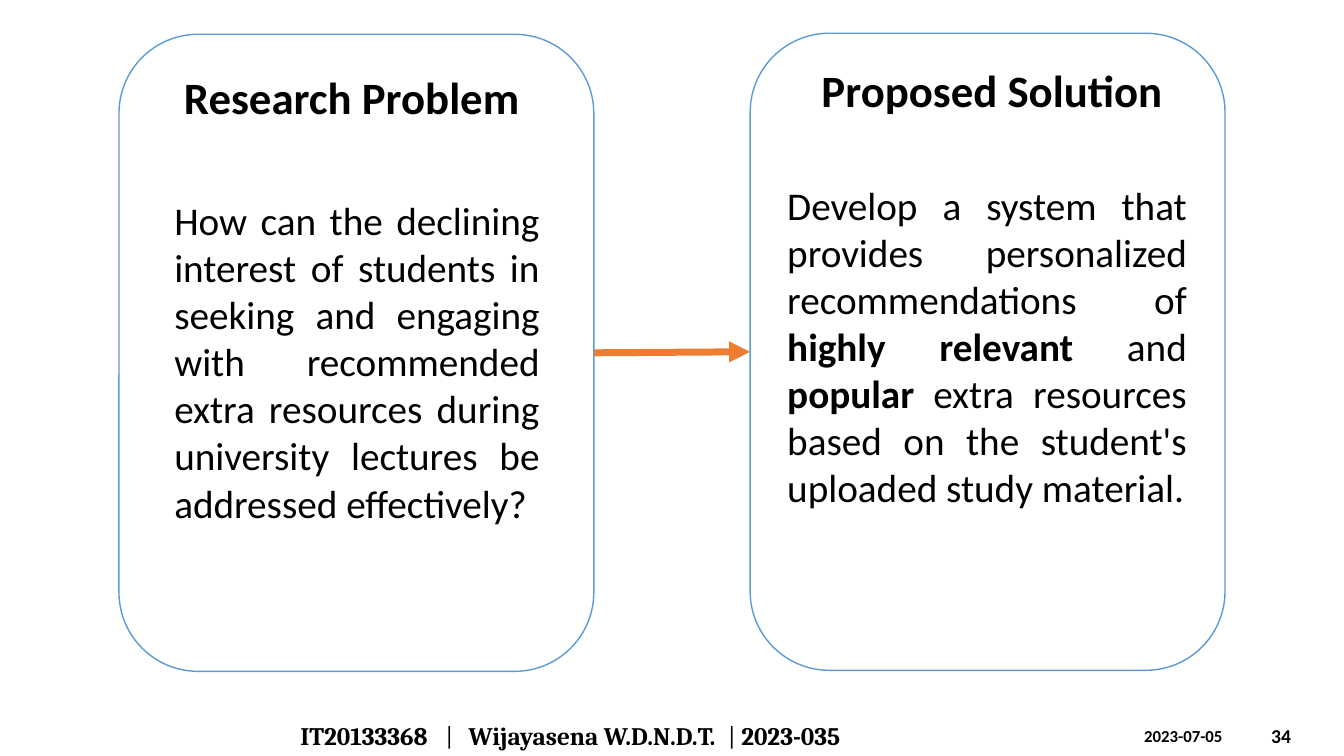
from dataclasses import dataclass

from lxml import etree
from pptx import Presentation
from pptx.dml.color import RGBColor
from pptx.enum.shapes import MSO_CONNECTOR, MSO_SHAPE
from pptx.enum.text import MSO_ANCHOR, MSO_AUTO_SIZE, PP_ALIGN
from pptx.oxml.ns import qn
from pptx.util import Inches, Pt

ROUNDED = MSO_SHAPE.ROUNDED_RECTANGLE
STRAIGHT = MSO_CONNECTOR.STRAIGHT
LEFT, CENTER, JUSTIFY = PP_ALIGN.LEFT, PP_ALIGN.CENTER, PP_ALIGN.JUSTIFY
TOP, MIDDLE = MSO_ANCHOR.TOP, MSO_ANCHOR.MIDDLE
GROW, FIXED = MSO_AUTO_SIZE.SHAPE_TO_FIT_TEXT, MSO_AUTO_SIZE.NONE
RIGHT_SIDE, LEFT_SIDE = 3, 1


@dataclass(frozen=True)
class Theme:
    ink: RGBColor = RGBColor(0x00, 0x00, 0x00)
    paper: RGBColor = RGBColor(0xFF, 0xFF, 0xFF)
    outline: RGBColor = RGBColor(0x5B, 0x9B, 0xD5)
    accent: RGBColor = RGBColor(0xED, 0x7D, 0x31)
    body_font: str = "Calibri"
    footer_font: str = "Cambria"
    heading: int = 32
    body: int = 28
    footer: int = 18
    number: int = 14
    date: int = 12


theme = Theme()

prs = Presentation()
prs.slide_width, prs.slide_height = Inches(13.33), Inches(7.5)
slide = prs.slides.add_slide(prs.slide_layouts[6])


def add_text(place, runs, size, font=theme.body_font, align=LEFT,
             anchor=TOP, fit=GROW, tabs=()):
    box = slide.shapes.add_textbox(*map(Inches, place))
    frame = box.text_frame
    frame.word_wrap = True
    frame.auto_size = fit
    frame.vertical_anchor = anchor
    paragraph = frame.paragraphs[0]
    paragraph.alignment = align
    if tabs:
        stops = etree.SubElement(paragraph._p.get_or_add_pPr(), qn("a:tabLst"))
        for stop in tabs:
            etree.SubElement(stops, qn("a:tab"), pos=str(Inches(stop)), algn="l")
    for words, bold in runs:
        run = paragraph.add_run()
        run.text = words
        run.font.name = font
        run.font.size = Pt(size)
        run.font.bold = bold
        run.font.color.rgb = theme.ink


problem = [
    ("How can the declining interest of students in seeking and engaging with "
     "recommended extra resources during university lectures be addressed "
     "effectively?", False),
]
solution = [
    ("Develop a system that provides personalized recommendations of ", False),
    ("highly relevant ", True),
    ("and ", False),
    ("popular", True),
    (" extra resources based on the student's uploaded study material.", False),
]
panels = [
    ((1.18, 0.34), "Research Problem", (1.61, 0.64), problem, (1.63, 1.9, 3.82, 3.4)),
    ((7.44, 0.33), "Proposed Solution", (7.96, 0.57), solution, (7.71, 1.75, 4.16, 3.4)),
]

cards = []
for corner, heading, heading_corner, statement, statement_place in panels:
    card = slide.shapes.add_shape(ROUNDED, *map(Inches, (*corner, 4.71, 6.32)))
    card.shadow.inherit = False
    card.fill.solid()
    card.fill.fore_color.rgb = theme.paper
    card.line.color.rgb = theme.outline
    card.line.width = Pt(1)
    cards.append(card)
    add_text((*heading_corner, 3.76, 0.64), [(heading, True)], theme.heading, align=CENTER)
    add_text(statement_place, statement, theme.body, align=JUSTIFY)

problem_card, solution_card = cards
arrow = slide.shapes.add_connector(
    STRAIGHT, Inches(5.89), Inches(3.5), Inches(7.44), Inches(3.49))
arrow.begin_connect(problem_card, RIGHT_SIDE)
arrow.end_connect(solution_card, LEFT_SIDE)
arrow.line.color.rgb = theme.accent
arrow.line.width = Pt(5)
etree.SubElement(arrow.line._get_or_add_ln(), qn("a:tailEnd"), type="triangle")
etree.SubElement(arrow._element.spPr, qn("a:effectLst"))

author = [
    ("IT20133368", True),
    ("\t|\t", False),
    ("Wijayasena W.D.N.D.T.", True),
    ("\t| ", False),
    ("2023-035", True),
]
add_text((2.88, 7.1, 7.45, 0.4), author, theme.footer, font=theme.footer_font,
         anchor=MIDDLE, fit=FIXED, tabs=(1.44, 1.67, 4.24))
add_text((11.25, 7.15, 1.17, 0.3), [("2023-07-05", True)], theme.date)
add_text((12.51, 7.1, 0.74, 0.4), [("34", True)], theme.number, anchor=MIDDLE, fit=FIXED)

prs.save("out.pptx")
